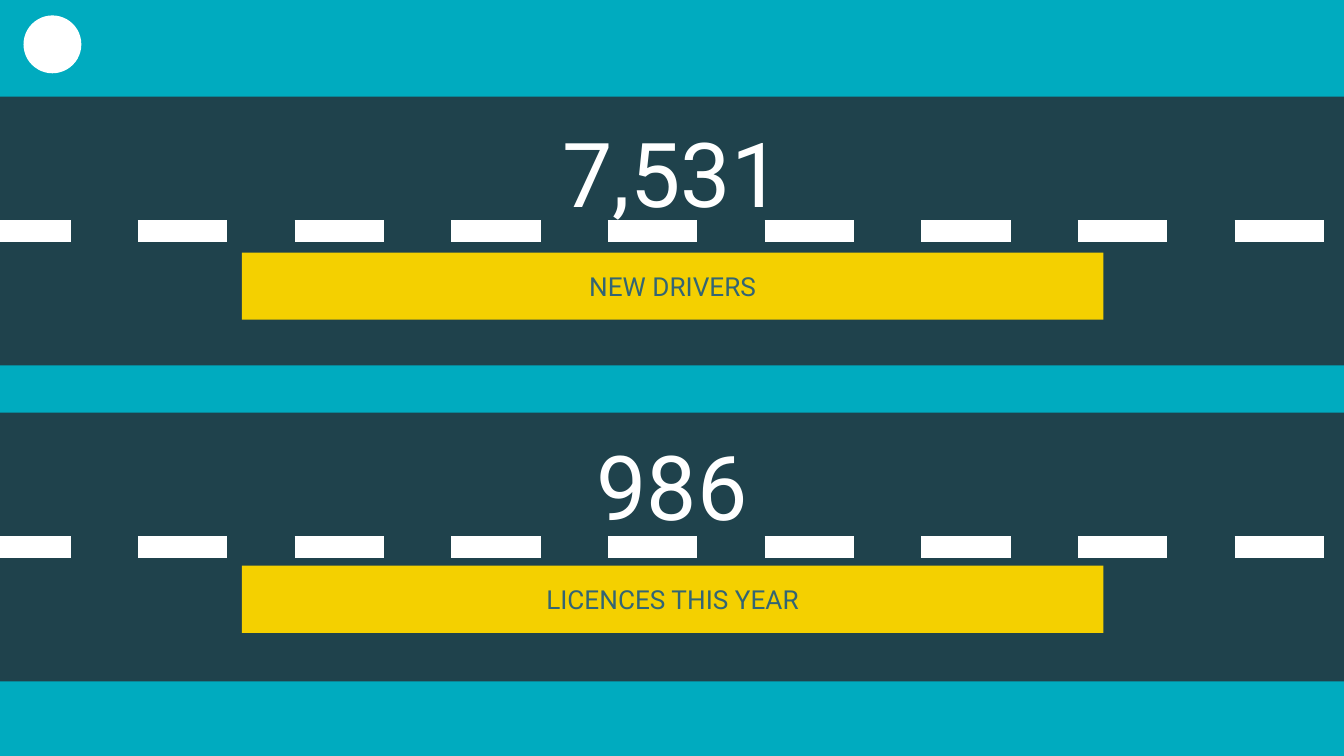
"""Build the driver statistics slide with two roads."""
from dataclasses import dataclass

from lxml.etree import SubElement
from pptx import Presentation
from pptx.dml.color import RGBColor
from pptx.enum.dml import MSO_LINE
from pptx.enum.shapes import MSO_CONNECTOR as Connector, MSO_SHAPE as Preset
from pptx.enum.text import MSO_ANCHOR as Anchor, PP_ALIGN as Align
from pptx.oxml.ns import qn
from pptx.shapes.autoshape import Shape
from pptx.slide import Slide
from pptx.util import Inches, Pt


@dataclass(frozen=True)
class Theme:
    background: RGBColor = RGBColor.from_string("00ABBF")
    road: RGBColor = RGBColor.from_string("1F424C")
    white: RGBColor = RGBColor.from_string("FFFFFF")
    label_fill: RGBColor = RGBColor.from_string("F4D000")
    label_text: RGBColor = RGBColor.from_string("336574")
    font: str = "Roboto"
    figure_size: int = 48
    label_size: int = 14
    marking_width: int = 12


@dataclass(frozen=True)
class Box:
    left: float
    top: float
    width: float
    height: float

    def lengths(self) -> list[int]:
        return [Inches(value) for value in (self.left, self.top, self.width, self.height)]


@dataclass(frozen=True)
class Road:
    left: float
    top: float
    figure: str
    figure_top: float
    label: str
    label_top: float


THEME = Theme()
SLIDE_WIDTH = 10
SLIDE_HEIGHT = SLIDE_WIDTH * 9 / 16
ROAD_WIDTH, ROAD_HEIGHT = 10.56, 2
MARKING_START, MARKING_END = -0.14, 10.56
ROADS = (
    Road(-0.14, 0.72, "7,531", 0.73, "NEW DRIVERS", 1.88),
    Road(-0.28, 3.07, "986", 3.06, "LICENCES THIS YEAR", 4.21),
)


def add_filled(slide: Slide, preset: Preset, box: Box, color: RGBColor) -> Shape:
    shape = slide.shapes.add_shape(preset, *box.lengths())
    shape.shadow.inherit = False
    shape.fill.solid()
    shape.fill.fore_color.rgb = color
    shape.line.fill.background()
    return shape


def add_text(shape: Shape, text: str, size: int, color: RGBColor, anchor: Anchor) -> None:
    frame = shape.text_frame
    frame.word_wrap = True
    frame.vertical_anchor = anchor
    frame.margin_left = frame.margin_right = Inches(0.1)
    frame.margin_top = frame.margin_bottom = Inches(0.1)
    paragraph = frame.paragraphs[0]
    paragraph.alignment = Align.CENTER
    run = paragraph.add_run()
    run.text = text
    run.font.name = THEME.font
    run.font.size = Pt(size)
    run.font.color.rgb = color


def add_marking(slide: Slide, middle: float) -> None:
    marking = slide.shapes.add_connector(
        Connector.STRAIGHT,
        Inches(MARKING_START), Inches(middle), Inches(MARKING_END), Inches(middle),
    )
    marking.line.color.rgb = THEME.white
    marking.line.width = Pt(THEME.marking_width)
    marking.line.dash_style = MSO_LINE.DASH
    SubElement(marking._element.spPr, qn("a:effectLst"))


def add_road(slide: Slide, road: Road) -> None:
    surface = Box(road.left, road.top, ROAD_WIDTH, ROAD_HEIGHT)
    add_filled(slide, Preset.RECTANGLE, surface, THEME.road)
    add_marking(slide, road.top + ROAD_HEIGHT / 2)
    figure = slide.shapes.add_textbox(*Box(0.78, road.figure_top, 8.44, 1.05).lengths())
    add_text(figure, road.figure, THEME.figure_size, THEME.white, Anchor.BOTTOM)
    label_box = Box(1.8, road.label_top, 6.41, 0.5)
    label = add_filled(slide, Preset.RECTANGLE, label_box, THEME.label_fill)
    add_text(label, road.label, THEME.label_size, THEME.label_text, Anchor.MIDDLE)


def main() -> None:
    presentation = Presentation()
    presentation.slide_width = Inches(SLIDE_WIDTH)
    presentation.slide_height = Inches(SLIDE_HEIGHT)
    slide = presentation.slides.add_slide(presentation.slide_layouts[6])
    slide.background.fill.solid()
    slide.background.fill.fore_color.rgb = THEME.background
    for road in ROADS:
        add_road(slide, road)
    circle = add_filled(slide, Preset.OVAL, Box(0.18, 0.12, 0.42, 0.42), THEME.white)
    circle.line.color.rgb = THEME.white
    circle.line.width = Pt(0.75)
    presentation.save("out.pptx")


if __name__ == "__main__":
    main()
